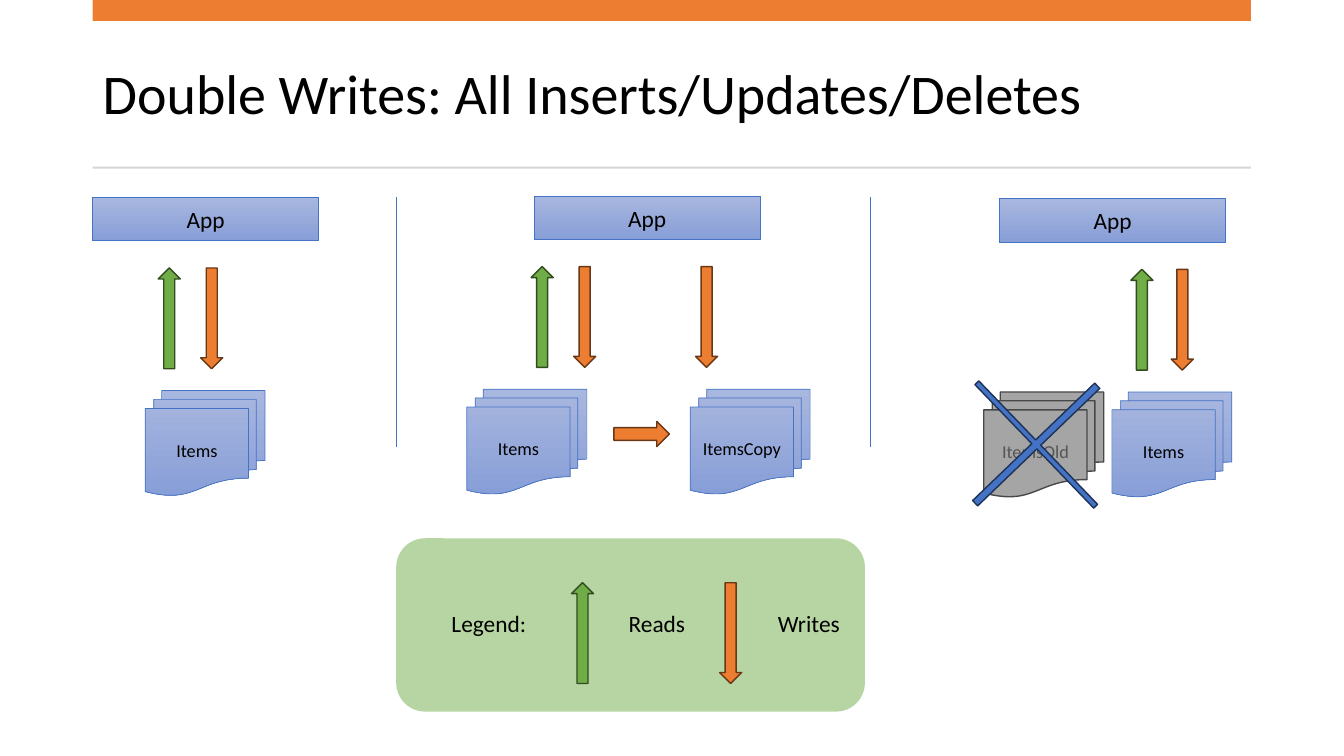
from lxml import etree
from pptx import Presentation
from pptx.dml.color import RGBColor
from pptx.enum import shapes, text
from pptx.oxml.ns import qn
from pptx.util import Pt

THEME = dict(
    font="Calibri", title=40, label=16.7, doc=13,
    ink="000000", muted="555555",
    blue="4472C4", blue_edge="1E3256", blue_top="A8B7DF", blue_bottom="889ED7",
    green="70AD47", green_edge="314C1F", orange="ED7D31", orange_edge="683715",
    grey="A5A5A5", grey_edge="484848", rule="D5D5D5",
)
TITLE = "Double Writes: All Inserts/Updates/Deletes"

# Each stage: top, left of App box, arrows as (left, kind), documents as (left, name)
STAGES = [
    (141, 66.2, [(113, "read"), (143.3, "write")], [(103.7, "Items")]),
    (140, 381.6, [(379.4, "read"), (409.7, "write"), (496.8, "write")],
     [(333.4, "Items"), (493, "ItemsCopy")]),
    (142, 714.2, [(807.8, "read"), (836.6, "write")],
     [(702.7, "ItemsOld"), (794.2, "Items")]),
]
RETIRED = "ItemsOld"
DIVIDERS = [283, 621.4]
LEGEND_TEXTS = [(315.4, 68.4, "Legend:"), (442, 55.4, "Reads"), (548.6, 59.8, "Writes")]
LEGEND_ARROWS = [(408.2, "read"), (514, "write")]

LEFT, WIDTH = 66.2, 827.3
APP_SIZE = (161.3, 31)
ARROW_SIZE = (15.8, 72)
DOC_SIZE = (85.7, 75)
ARROW_DROP, DOC_DROP = 50.4, 138
LEGEND_TOP = 384.5

SHAPE = shapes.MSO_SHAPE


def rgb(name):
    return RGBColor.from_string(THEME[name])


def style_text(tf, size, color="ink"):
    for p in tf.paragraphs:
        for r in p.runs:
            r.font.name = THEME["font"]
            r.font.size = Pt(size)
            r.font.color.rgb = rgb(color)


def add_shape(s, kind, box, fill, edge=None, weight=1):
    """Add a flat preset shape; fill None gives the pale blue gradient."""
    sp = s.shapes.add_shape(kind, *map(Pt, box))
    sp.shadow.inherit = False
    if fill:
        sp.fill.solid()
        sp.fill.fore_color.rgb = rgb(fill)
    else:
        sp.fill.gradient()
        sp.fill.gradient_angle = 270
        stops = sp.fill.gradient_stops
        for stop, name, position in zip(stops, ("blue_top", "blue_bottom"), (0, 1)):
            stop.color.rgb = rgb(name)
            stop.position = position
    if edge:
        sp.line.color.rgb = rgb(edge)
        sp.line.width = Pt(weight)
    else:
        sp.line.fill.background()
    return sp


def label_shape(sp, words, size, color="ink"):
    tf = sp.text_frame
    tf.text = words
    tf.margin_left = tf.margin_right = 0
    tf.vertical_anchor = text.MSO_ANCHOR.MIDDLE
    tf.paragraphs[0].alignment = text.PP_ALIGN.CENTER
    style_text(tf, size, color)


def add_arrow(s, left, top, kind):
    color = {"read": "green", "write": "orange"}[kind]
    sp = add_shape(s, SHAPE.UP_ARROW, (left, top, *ARROW_SIZE), color, color + "_edge")
    sp.rotation = 180 if kind == "write" else 0


def add_document(s, left, top, name):
    retired = name == RETIRED
    look = ("grey", "grey_edge", 1) if retired else (None, "blue", 0.5)
    sp = add_shape(s, SHAPE.FLOWCHART_MULTIDOCUMENT, (left, top, *DOC_SIZE), *look)
    label_shape(sp, name, THEME["doc"], "muted" if retired else "ink")


def add_divider(s, x):
    line = s.shapes.add_connector(
        shapes.MSO_CONNECTOR.STRAIGHT, Pt(x), Pt(141), Pt(x), Pt(319))
    line.line.color.rgb = rgb("blue")
    line.line.width = Pt(0.5)
    etree.SubElement(line._element.spPr, qn("a:effectLst"))


def add_title(s):
    sp = s.shapes.title
    sp.left, sp.top, sp.width, sp.height = map(Pt, (LEFT, 26.6, WIDTH, 85))
    tf = sp.text_frame
    tf.text = TITLE
    tf.auto_size = text.MSO_AUTO_SIZE.NONE
    tf.vertical_anchor = text.MSO_ANCHOR.MIDDLE
    tf.paragraphs[0].alignment = text.PP_ALIGN.LEFT
    tf.paragraphs[0].line_spacing = 0.9
    style_text(tf, THEME["title"])


def add_legend(s):
    panel = add_shape(s, SHAPE.ROUNDED_RECTANGLE, (283, LEGEND_TOP, 334.8, 123.8), "green")
    color = panel._element.spPr.find(qn("a:solidFill"))[0]
    etree.SubElement(color, qn("a:alpha"), val="50000")
    for left, kind in LEGEND_ARROWS:
        add_arrow(s, left, LEGEND_TOP + 31.7, kind)
    for left, width, words in LEGEND_TEXTS:
        box = s.shapes.add_textbox(Pt(left), Pt(LEGEND_TOP + 46.8), Pt(width), Pt(27.4))
        box.text_frame.text = words
        box.text_frame.word_wrap = False
        style_text(box.text_frame, THEME["label"])


def main():
    prs = Presentation()
    prs.slide_width, prs.slide_height = Pt(960), Pt(540)
    s = prs.slides.add_slide(prs.slide_layouts[5])
    add_title(s)
    add_shape(s, SHAPE.RECTANGLE, (LEFT, 0, WIDTH, 15), "orange")
    add_shape(s, SHAPE.RECTANGLE, (LEFT, 119, WIDTH, 1.4), "rule")
    add_legend(s)

    for top, app_left, arrows, documents in STAGES:
        app = add_shape(s, SHAPE.RECTANGLE, (app_left, top, *APP_SIZE), None, "blue", 0.5)
        label_shape(app, "App", THEME["label"])
        for left, kind in arrows:
            add_arrow(s, left, top + ARROW_DROP, kind)
        for left, name in documents:
            add_document(s, left, top + DOC_DROP, name)

    for x in DIVIDERS:
        add_divider(s, x)
    add_shape(s, SHAPE.RIGHT_ARROW, (438.5, 301, 39.6, 18), "orange", "orange_edge")
    cross = add_shape(s, SHAPE.CROSS, (679, 257, 122.4, 121), "blue", "blue_edge")
    cross.adjustments[0] = 0.484
    cross.rotation = 46.1
    prs.save("out.pptx")


if __name__ == "__main__":
    main()
